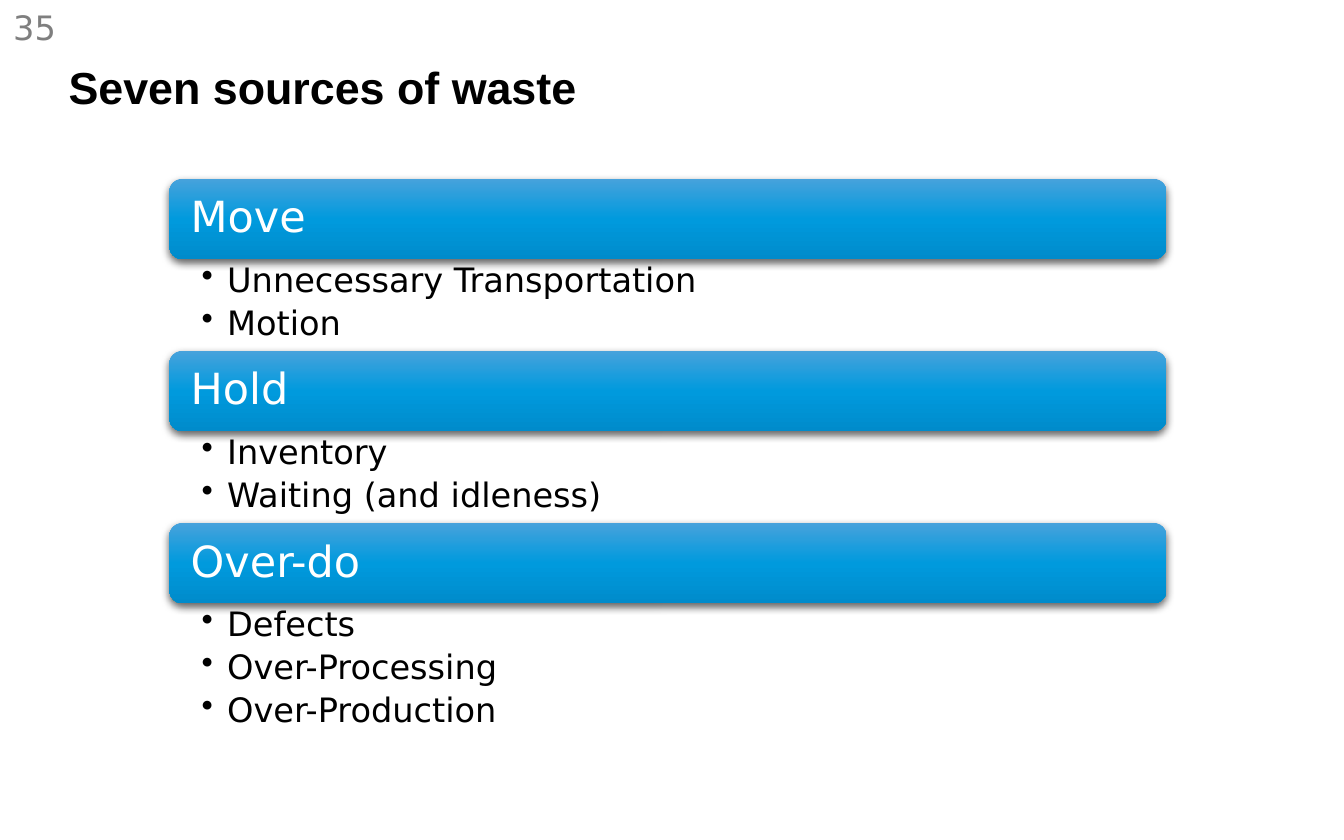
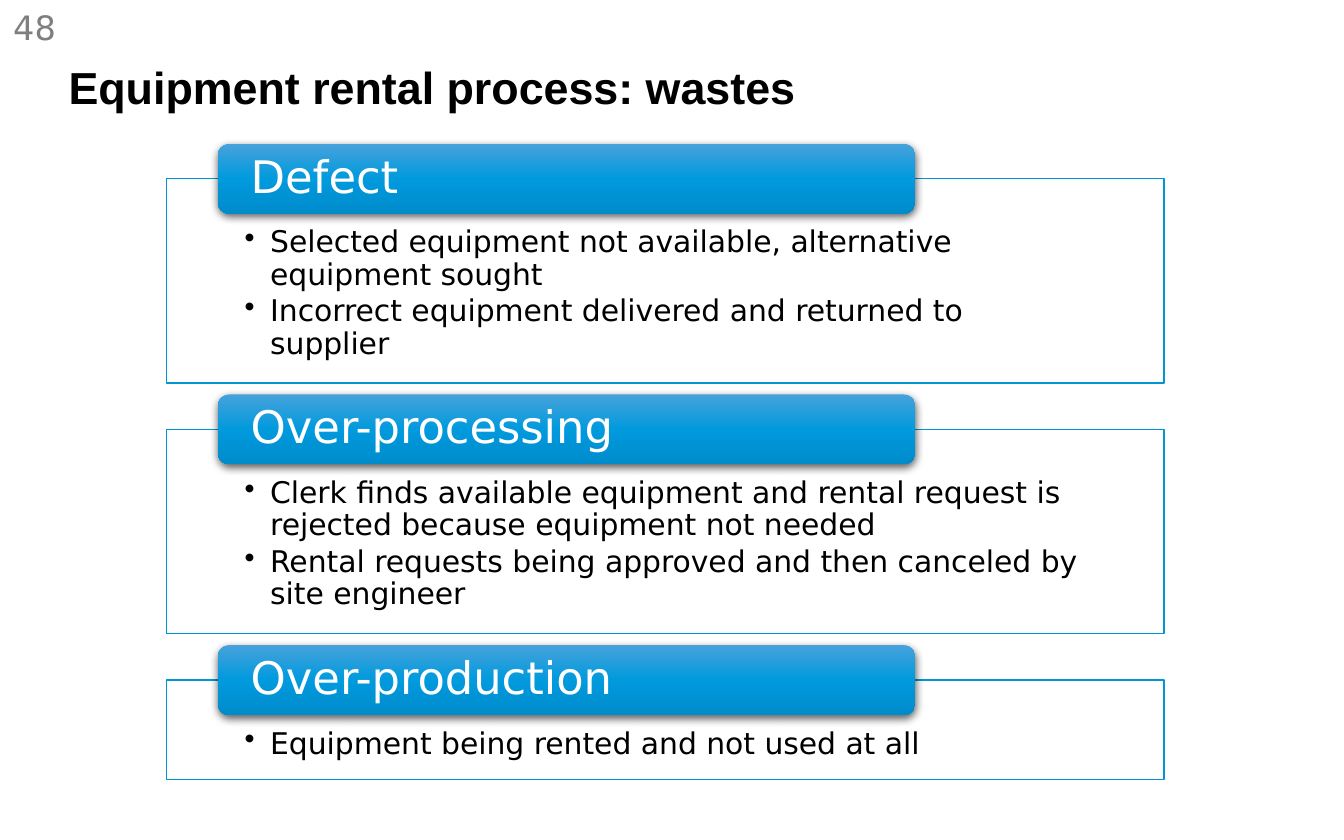
import copy
from dataclasses import dataclass

import pptx
import pptx.dml.color
import pptx.enum.shapes
import pptx.enum.text
import pptx.oxml
import pptx.oxml.ns
import pptx.util

Inches = pptx.util.Inches
Pt = pptx.util.Pt
RGB = pptx.dml.color.RGBColor.from_string
Anchor = pptx.enum.text.MSO_ANCHOR
Shape = pptx.enum.shapes.MSO_SHAPE
qn = pptx.oxml.ns.qn
A_NAMESPACE = pptx.oxml.ns.nsdecls("a")


@dataclass(frozen=True)
class Theme:
    title_font: str = "Arial"
    text_font: str = "DejaVu Sans"
    ink: str = "000000"
    paper: str = "FFFFFF"
    grey: str = "7F7F7F"
    frame_line: str = "0096D3"
    bar_stops: tuple = ((0, "47A2DC"), (0.5, "009ADD"), (1, "008BCB"))
    title_size: int = 24
    number_size: int = 18
    move_bar_size: int = 23
    move_list_size: int = 18
    rental_bar_size: int = 24
    rental_list_size: int = 16


theme = Theme()


def write(box, lines, size, color, insets, anchor=Anchor.TOP, font=theme.text_font,
          bold=False, line_spacing=0.9, bullet_gap=None):
    """Fill a box with paragraphs; a bullet_gap turns them into a bulleted list."""
    frame = box.text_frame
    frame.word_wrap = True
    frame.auto_size = pptx.enum.text.MSO_AUTO_SIZE.NONE
    frame.vertical_anchor = anchor
    (frame.margin_left, frame.margin_top,
     frame.margin_right, frame.margin_bottom) = map(Inches, insets)
    frame.text = "\n".join(lines)
    for index, para in enumerate(frame.paragraphs):
        para.alignment = pptx.enum.text.PP_ALIGN.LEFT
        para.line_spacing = line_spacing
        if bullet_gap is not None:
            para.level = 1
            para.space_before = Pt(bullet_gap if index else 0)
            properties = para._p.get_or_add_pPr()
            properties.set("marL", str(Inches(0.19)))
            properties.set("indent", str(Inches(-0.19)))
            for xml in (f'<a:buClr {A_NAMESPACE}><a:srgbClr val="{theme.ink}"/></a:buClr>',
                        f'<a:buChar {A_NAMESPACE} char="•"/>'):
                properties.append(pptx.oxml.parse_xml(xml))
        for span in para.runs:
            span.font.name = font
            span.font.size = Pt(size)
            span.font.bold = bold
            span.font.color.rgb = RGB(color)


def add_bar(page, left, top, width, height, label, size, inset):
    """Draw a rounded gradient bar with a soft shadow and a heading."""
    bar = page.shapes.add_shape(Shape.ROUNDED_RECTANGLE, Inches(left), Inches(top),
                                Inches(width), Inches(height))
    bar.line.fill.background()
    bar.fill.gradient()
    bar.fill.gradient_angle = 270
    properties = bar._element.spPr
    stop_list = properties.find(".//" + qn("a:gsLst"))
    stop_list.append(copy.deepcopy(stop_list[0]))
    for stop, (position, color) in zip(bar.fill.gradient_stops, theme.bar_stops):
        stop.position = position
        stop.color.rgb = RGB(color)
    bar.shadow.inherit = False
    properties.find(qn("a:effectLst")).append(pptx.oxml.parse_xml(
        f'<a:outerShdw {A_NAMESPACE} blurRad="{Pt(4.5)}" dist="{Pt(1.5)}" dir="5400000" '
        'rotWithShape="0"><a:srgbClr val="000000"><a:alpha val="62000"/></a:srgbClr>'
        '</a:outerShdw>'))
    write(bar, [label], size, theme.paper, (inset, 0, inset, 0), Anchor.MIDDLE)


deck = pptx.Presentation()
deck.slide_width, deck.slide_height = Inches(10), Inches(6.25)

# Title and page number on every slide
pages = []
for title, number in (("Seven sources of waste", "35"),
                      ("Equipment rental process: wastes", "48")):
    page = deck.slides.add_slide(deck.slide_layouts[5])
    heading = page.shapes.title
    heading.left, heading.top = Inches(0.51), Inches(0.15)
    heading.width, heading.height = Inches(7.48), Inches(0.99)
    write(heading, [title], theme.title_size, theme.ink, (0, 0, 0, 0), Anchor.MIDDLE,
          font=theme.title_font, bold=True, line_spacing=1.0)
    number_box = page.shapes.add_textbox(0, 0, Inches(3.28), Inches(3.28))
    write(number_box, [number], theme.number_size, theme.grey, (0.1, 0.05, 0.1, 0.05),
          line_spacing=1.0)
    pages.append(page)
sources_page, rental_page = pages

# Seven sources: bars at equal steps, each followed by its list
sources = (
    ("Move", ["Unnecessary Transportation", "Motion"]),
    ("Hold", ["Inventory", "Waiting (and idleness)"]),
    ("Over-do", ["Defects", "Over-Processing", "Over-Production"]),
)
bar_height, row_height = 0.6, 0.34
for index, (label, items) in enumerate(sources):
    top = 1.33 + 1.28 * index
    add_bar(sources_page, 1.26, top, 7.42, bar_height, label, theme.move_bar_size, 0.13)
    item_box = sources_page.shapes.add_textbox(
        Inches(1.26), Inches(top + bar_height), Inches(7.42), Inches(row_height * len(items)))
    write(item_box, items, theme.move_list_size, theme.ink, (0.24, 0.03, 0.18, 0.03),
          bullet_gap=3.6)

# Rental wastes: framed lists, each with a bar over its top edge
wastes = (
    ("Defect", 1.52, ["Selected equipment not available, alternative equipment sought",
                      "Incorrect equipment delivered and returned to supplier"]),
    ("Over-processing", 1.52, [
        "Clerk finds available equipment and rental request is rejected because "
        "equipment not needed",
        "Rental requests being approved and then canceled by site engineer"]),
    ("Over-production", 0.74, ["Equipment being rented and not used at all"]),
)
for index, (label, frame_height, items) in enumerate(wastes):
    top = 1.33 + 1.865 * index
    frame_box = rental_page.shapes.add_shape(
        Shape.RECTANGLE, Inches(1.24), Inches(top), Inches(7.42), Inches(frame_height))
    frame_box.shadow.inherit = False
    frame_box.fill.solid()
    frame_box.fill.fore_color.rgb = RGB(theme.paper)
    fill_color = frame_box._element.spPr.find(qn("a:solidFill"))[0]
    fill_color.append(pptx.oxml.parse_xml(f'<a:alpha {A_NAMESPACE} val="89000"/>'))
    frame_box.line.color.rgb = RGB(theme.frame_line)
    frame_box.line.width = Pt(0.75)
    write(frame_box, items, theme.rental_list_size, theme.ink, (0.58, 0.36, 0.58, 0.12),
          bullet_gap=2.4)
    add_bar(rental_page, 1.62, top - 0.26, 5.19, 0.52, label, theme.rental_bar_size, 0.22)

deck.save("out.pptx")
